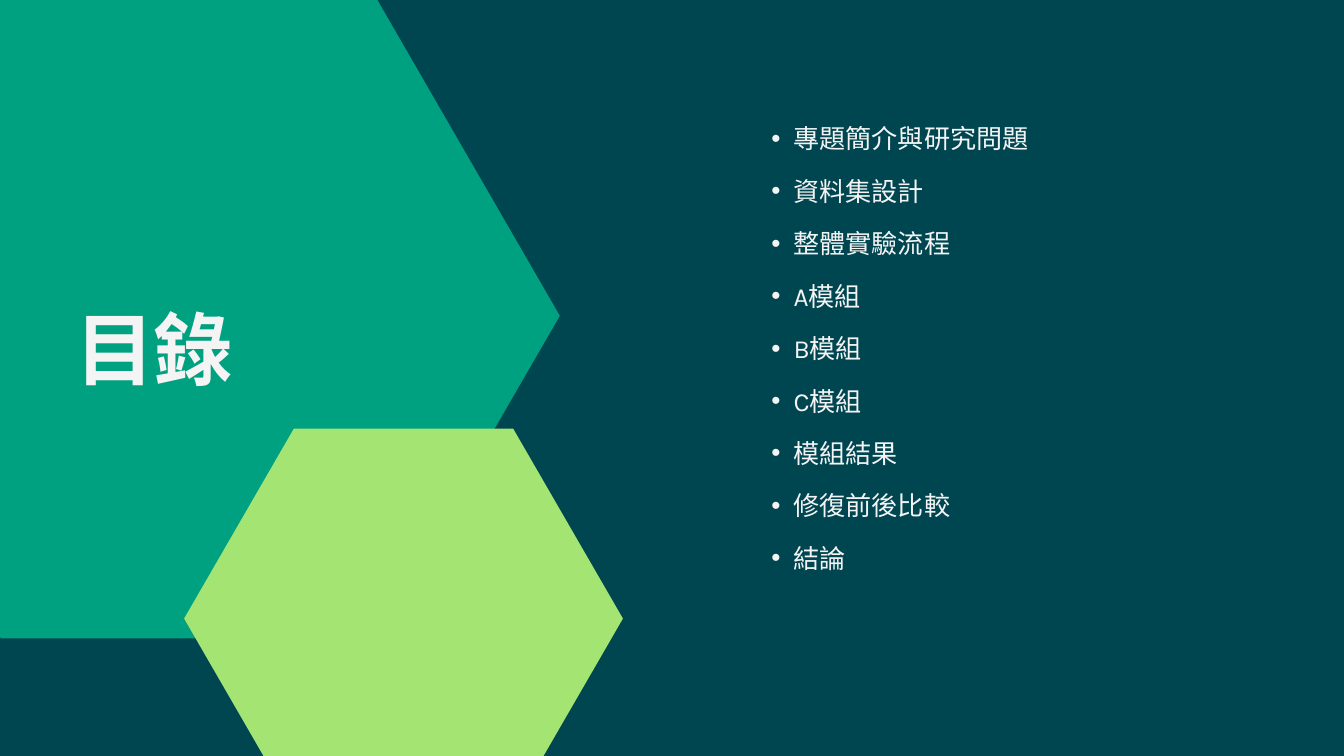
from lxml import etree
from pptx import Presentation, util as u
from pptx.dml.color import RGBColor
from pptx.enum import shapes, text
from pptx.oxml.ns import qn

NAVY = RGBColor(0x00, 0x46, 0x51)
GREEN = RGBColor(0x00, 0xA1, 0x81)
LIME = RGBColor(0xA4, 0xE4, 0x73)
WHITE = RGBColor(0xF4, 0xF4, 0xF4)

COLS, ROWS = 20, 11.25
TOPICS = ["專題簡介與研究問題", "資料集設計", "整體實驗流程", "A模組", "B模組",
          "C模組", "模組結果", "修復前後比較", "結論"]


class Deck:
    """Holds the style and the current slide; lengths are grid columns and rows."""

    font = "Karla"

    def __init__(self):
        self.prs = Presentation()
        self.prs.slide_width = u.Inches(20)
        self.prs.slide_height = u.Inches(11.25)

    def add(self, color):
        self.slide = self.prs.slides.add_slide(self.prs.slide_layouts[6])
        fill = self.slide.background.fill
        fill.solid()
        fill.fore_color.rgb = color

    def grid(self, x, y, w, h):
        col = self.prs.slide_width / COLS
        row = self.prs.slide_height / ROWS
        return [round(n) for n in (x * col, y * row, w * col, h * row)]

    def hexagon(self, x, y, w, h, color):
        """Draws a hexagon whose slanted sides each take a quarter of its width."""
        hexa = self.slide.shapes.add_shape(
            shapes.MSO_SHAPE.HEXAGON, *self.grid(x, y, w, h))
        hexa.adjustments[0] = w / 4 / h
        hexa.shadow.inherit = False
        hexa.fill.solid()
        hexa.fill.fore_color.rgb = color
        hexa.line.fill.background()

    def label(self, x, y, w, h, words, size, lead, bold=False, track=0, bullet=False):
        """Adds one line of text; lead is line spacing and track letter spacing, in points."""
        box = self.slide.shapes.add_textbox(*self.grid(x, y, w, h))
        frame = box.text_frame
        frame.margin_left = frame.margin_right = 0
        frame.margin_top = frame.margin_bottom = 0
        frame.word_wrap = True
        frame.auto_size = text.MSO_AUTO_SIZE.SHAPE_TO_FIT_TEXT
        para = frame.paragraphs[0]
        para.line_spacing = u.Pt(lead)
        if bullet:
            self.bullet(para)
        run = para.add_run()
        run.text = words
        font = run.font
        font.size, font.bold, font.name = u.Pt(size), bold, self.font
        font.color.rgb = WHITE
        props = run._r.get_or_add_rPr()
        etree.SubElement(props, qn("a:ea"), typeface=self.font)
        if track:
            props.set("spc", str(round(track * 100)))

    def bullet(self, para):
        para.level = 1
        props = para._p.get_or_add_pPr()
        props.set("marL", str(u.Inches(0.66)))
        props.set("indent", str(u.Inches(-0.33)))
        etree.SubElement(props, qn("a:buFont"), typeface="Arial")
        etree.SubElement(props, qn("a:buChar"), char="•")


def main():
    deck = Deck()
    deck.add(NAVY)
    deck.hexagon(-2.76, -0.1, 11.09, 9.6, GREEN)
    deck.hexagon(2.74, 6.38, 6.53, 5.65, LIME)
    deck.label(1.12, 4.46, 4.88, 1.41, "目錄", 85, 102, bold=True, track=-0.8)
    top, pitch = 1.75, 0.78
    for i, topic in enumerate(TOPICS):
        deck.label(11.15, top + i * pitch, 6.68, 0.53, topic, 28, 39.2, bullet=True)
    deck.prs.save("out.pptx")


if __name__ == "__main__":
    main()
